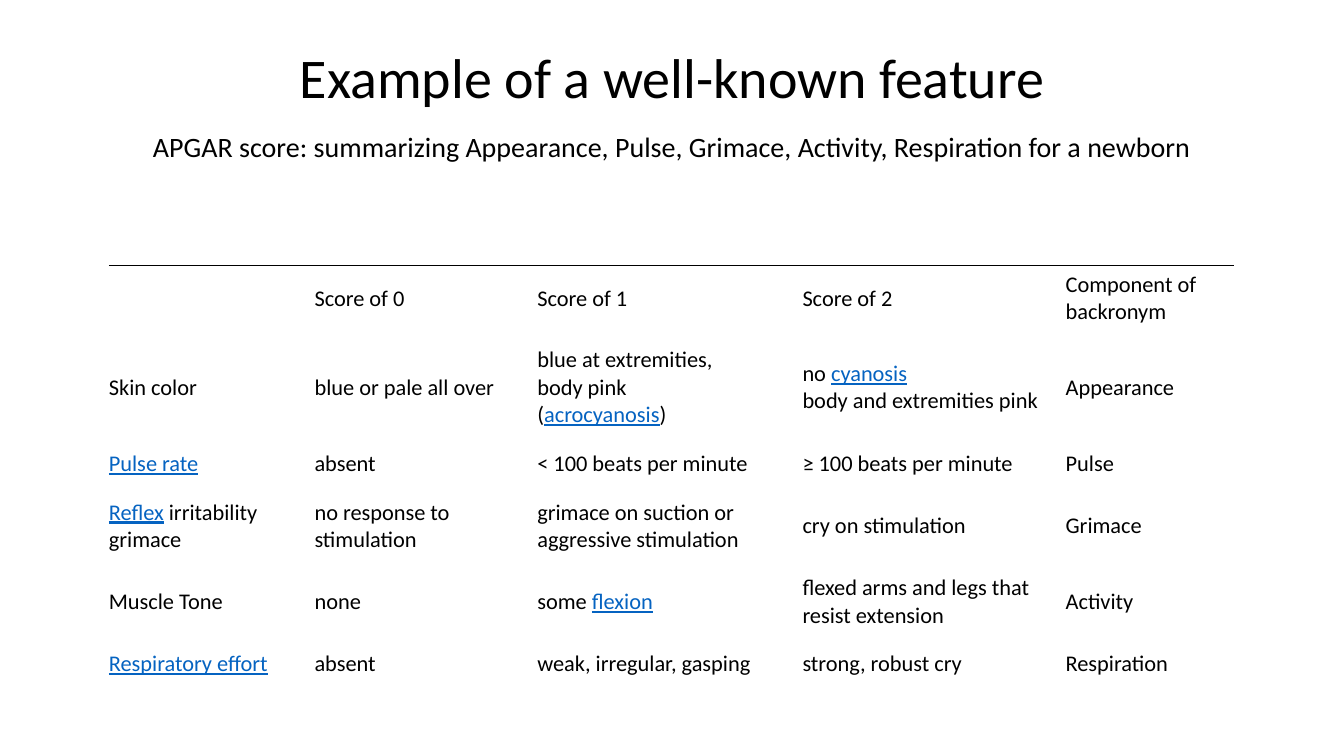
from lxml.etree import SubElement
from pptx import Presentation
from pptx.dml.color import RGBColor
from pptx.enum.text import MSO_ANCHOR, PP_ALIGN
from pptx.oxml import parse_xml
from pptx.oxml.ns import nsdecls, qn
from pptx.util import Inches, Pt

TITLE = "Example of a well-known feature"
SUBTITLE = "APGAR score: summarizing Appearance, Pulse, Grimace, Activity, Respiration for a newborn"

# Terms in square brackets are shown as underlined links.
APGAR_ROWS = [
    ["", "Score of 0", "Score of 1", "Score of 2", "Component of backronym"],
    ["Skin color", "blue or pale all over",
     "blue at extremities, \nbody pink\n([acrocyanosis])",
     "no [cyanosis]\nbody and extremities pink", "Appearance"],
    ["[Pulse rate]", "absent", "< 100 beats per minute", "≥ 100 beats per minute", "Pulse"],
    ["[Reflex] irritability grimace", "no response to stimulation",
     "grimace on suction or aggressive stimulation", "cry on stimulation", "Grimace"],
    ["Muscle Tone", "none", "some [flexion]",
     "flexed arms and legs that resist extension", "Activity"],
    ["[Respiratory effort]", "absent", "weak, irregular, gasping", "strong, robust cry",
     "Respiration"],
]
COLUMN_WIDTHS = [2.04, 2.21, 2.63, 2.61, 1.67]
ROW_HEIGHTS = [0.75, 1.02, 0.49, 0.75, 0.75, 0.49]
TABLE_LEFT, TABLE_TOP = 1.08, 2.63
HEADING_LEFT, HEADING_WIDTH = 1.1, 11.13

THEME = {
    "font": "Calibri",
    "text": RGBColor(0x00, 0x00, 0x00),
    "link": RGBColor(0x05, 0x63, 0xC1),
    "title_size": Pt(40),
    "subtitle_size": Pt(20),
    "cell_size": Pt(16),
    "rule_width": Pt(0.75),
}
PLAIN_TABLE_STYLE = "{2D5ABB26-0587-4C30-8999-92F81FD0307C}"


def style_run(run, size, color):
    run.font.name = THEME["font"]
    run.font.size = size
    run.font.color.rgb = color


def add_heading(slide, text, top, height, size, bottom_inset):
    heading = slide.shapes.add_textbox(
        Inches(HEADING_LEFT), Inches(top), Inches(HEADING_WIDTH), Inches(height))
    frame = heading.text_frame
    frame.word_wrap = True
    frame.vertical_anchor = MSO_ANCHOR.MIDDLE
    frame.margin_bottom = Inches(bottom_inset)
    frame.text = text
    line = frame.paragraphs[0]
    line.alignment = PP_ALIGN.CENTER
    line.line_spacing = 0.9
    style_run(line.runs[0], size, THEME["text"])


def write_marked_text(paragraph, marked):
    """Write text, turning [terms] into underlined links and newlines into breaks."""
    paragraph.font.size = THEME["cell_size"]
    for index, piece in enumerate(marked.replace("]", "[").split("[")):
        is_link = index % 2 == 1
        for line_number, words in enumerate(piece.split("\n")):
            if line_number:
                paragraph.add_line_break()
            if words:
                run = paragraph.add_run()
                run.text = words
                style_run(run, THEME["cell_size"], THEME["link" if is_link else "text"])
                if is_link:
                    run.font.underline = True
    for line_break in paragraph._p.findall(qn("a:br")):
        SubElement(line_break, qn("a:rPr"), sz=str(int(THEME["cell_size"].pt * 100)))


def add_top_rule(cell):
    cell._tc.get_or_add_tcPr().insert(0, parse_xml(
        f'<a:lnT {nsdecls("a")} w="{THEME["rule_width"]}"><a:solidFill>'
        f'<a:srgbClr val="{THEME["text"]}"/></a:solidFill></a:lnT>'))


def add_apgar_table(slide):
    table = slide.shapes.add_table(
        len(APGAR_ROWS), len(COLUMN_WIDTHS), Inches(TABLE_LEFT), Inches(TABLE_TOP),
        Inches(sum(COLUMN_WIDTHS)), Inches(sum(ROW_HEIGHTS))).table
    table.first_row = table.horz_banding = False
    table._tbl.tblPr.find(qn("a:tableStyleId")).text = PLAIN_TABLE_STYLE
    for column, width in zip(table.columns, COLUMN_WIDTHS):
        column.width = Inches(width)
    for row_index, (row, height) in enumerate(zip(table.rows, ROW_HEIGHTS)):
        row.height = Inches(height)
        for cell, marked in zip(row.cells, APGAR_ROWS[row_index]):
            cell.fill.background()
            cell.vertical_anchor = MSO_ANCHOR.MIDDLE
            cell.margin_left, cell.margin_top = Inches(0), Inches(0.04)
            cell.margin_right = cell.margin_bottom = Inches(0.13)
            write_marked_text(cell.text_frame.paragraphs[0], marked)
            if row_index == 0:
                add_top_rule(cell)


def main():
    deck = Presentation()
    deck.slide_width, deck.slide_height = Inches(13.33), Inches(7.5)
    slide = deck.slides.add_slide(deck.slide_layouts[6])
    add_heading(slide, TITLE, 0.19, 1.22, THEME["title_size"], bottom_inset=0.05)
    add_heading(slide, SUBTITLE, 1.22, 0.8, THEME["subtitle_size"], bottom_inset=0.35)
    add_apgar_table(slide)
    deck.save("out.pptx")


if __name__ == "__main__":
    main()
